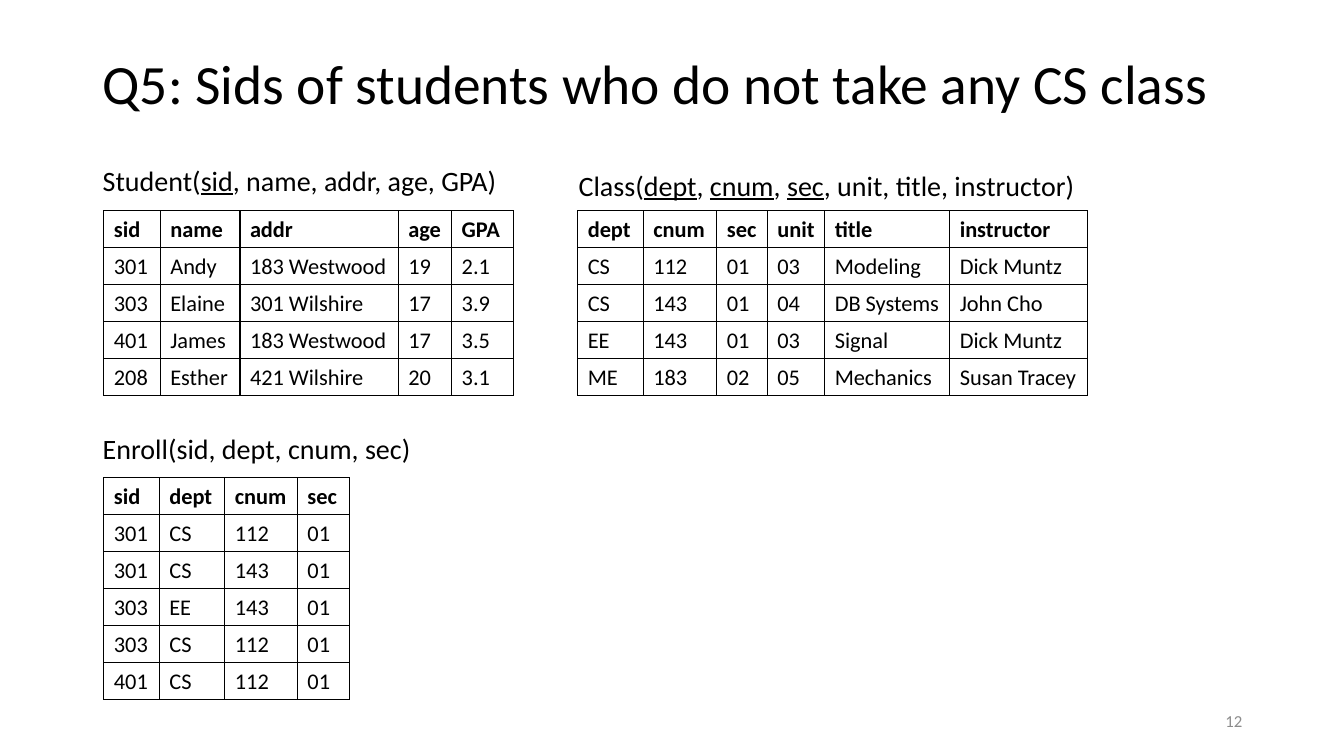
from lxml import etree
from pptx import Presentation
from pptx.dml.color import RGBColor
from pptx.enum.text import MSO_ANCHOR, PP_ALIGN
from pptx.oxml.ns import qn
from pptx.util import Inches, Pt

BLACK = RGBColor(0x00, 0x00, 0x00)
GRAY = RGBColor(0x8C, 0x8C, 0x8C)
FONT = "Calibri"
MIDDLE, TOP = MSO_ANCHOR.MIDDLE, MSO_ANCHOR.TOP
LEFT, RIGHT = PP_ALIGN.LEFT, PP_ALIGN.RIGHT
ROW_HEIGHT = 1.83 / 5

# Heading box, heading parts (text, underlined), table position, column widths, rows
STUDENT = (
    (0.92, 1.57, 4.16, 0.43),
    [("Student(", False), ("sid", True), (", name, addr, age, GPA)", False)],
    (1.03, 2.09),
    [0.56, 0.79, 1.57, 0.53, 0.61],
    [
        ["sid", "name", "addr", "age", "GPA"],
        ["301", "Andy", "183 Westwood", "19", "2.1"],
        ["303", "Elaine", "301 Wilshire", "17", "3.9"],
        ["401", "James", "183 Westwood", "17", "3.5"],
        ["208", "Esther", "421 Wilshire", "20", "3.1"],
    ],
)
CLASS = (
    (5.64, 1.62, 6.01, 0.43),
    [("Class(", False), ("dept", True), (", ", False), ("cnum", True),
     (", ", False), ("sec", True), (", unit, title, instructor)", False)],
    (5.73, 2.09),
    [0.65, 0.73, 0.5, 0.57, 1.24, 1.37],
    [
        ["dept", "cnum", "sec", "unit", "title", "instructor"],
        ["CS", "112", "01", "03", "Modeling", "Dick Muntz"],
        ["CS", "143", "01", "04", "DB Systems", "John Cho"],
        ["EE", "143", "01", "03", "Signal", "Dick Muntz"],
        ["ME", "183", "02", "05", "Mechanics", "Susan Tracey"],
    ],
)
ENROLL = (
    (0.92, 4.23, 4.02, 0.43),
    [("Enroll(sid, dept, cnum, sec)", False)],
    (1.03, 4.74),
    [0.55, 0.65, 0.72, 0.52],
    [
        ["sid", "dept", "cnum", "sec"],
        ["301", "CS", "112", "01"],
        ["301", "CS", "143", "01"],
        ["303", "EE", "143", "01"],
        ["303", "CS", "112", "01"],
        ["401", "CS", "112", "01"],
    ],
)


def set_font(p, size, color=BLACK, bold=False):
    p.font.name = FONT
    p.font.size = Pt(size)
    p.font.color.rgb = color
    p.font.bold = bold


def add_text(slide, box, parts, size, color=BLACK, anchor=TOP, align=LEFT):
    """Add a one-paragraph text box from (text, underlined) parts."""
    tf = slide.shapes.add_textbox(*map(Inches, box)).text_frame
    tf.word_wrap = True
    tf.vertical_anchor = anchor
    p = tf.paragraphs[0]
    p.alignment = align
    set_font(p, size, color)
    for text, underlined in parts:
        r = p.add_run()
        r.text = text
        if underlined:
            r.font.underline = True
    return p


def add_borders(cell):
    """Give all four sides of a cell a 1 pt black line."""
    tcPr = cell._tc.get_or_add_tcPr()
    for i, side in enumerate(("a:lnL", "a:lnR", "a:lnT", "a:lnB")):
        ln = etree.Element(qn(side), w=str(Pt(1)))
        fill = etree.SubElement(ln, qn("a:solidFill"))
        etree.SubElement(fill, qn("a:srgbClr"), val=str(BLACK))
        tcPr.insert(i, ln)


def add_relation(slide, heading_box, heading, position, widths, rows):
    """Add a relation's schema heading and its table of tuples."""
    add_text(slide, heading_box, heading, 20)
    size = (sum(widths), ROW_HEIGHT * len(rows))
    table = slide.shapes.add_table(
        len(rows), len(widths), *map(Inches, position + size)).table
    table.horz_banding = False
    for column, width in zip(table.columns, widths):
        column.width = Inches(width)
    for i, row in enumerate(rows):
        for j, text in enumerate(row):
            cell = table.cell(i, j)
            cell.text = text
            cell.fill.background()
            set_font(cell.text_frame.paragraphs[0], 16, bold=i == 0)
            add_borders(cell)


def add_query_slide(prs, title, relations, number):
    slide = prs.slides.add_slide(prs.slide_layouts[6])
    p = add_text(slide, (0.92, 0.4, 11.5, 0.91), [(title, False)], 39.6,
                 anchor=MIDDLE)
    p.line_spacing = 0.9
    for relation in relations:
        add_relation(slide, *relation)
    add_text(slide, (9.42, 6.95, 3, 0.4), [(number, False)], 12, GRAY,
             MIDDLE, RIGHT)


def main():
    prs = Presentation()
    prs.slide_width = Inches(13.33)
    prs.slide_height = Inches(7.5)
    add_query_slide(prs, "Q5: Sids of students who do not take any CS class",
                    [STUDENT, CLASS, ENROLL], "12")
    prs.save("out.pptx")


if __name__ == "__main__":
    main()
